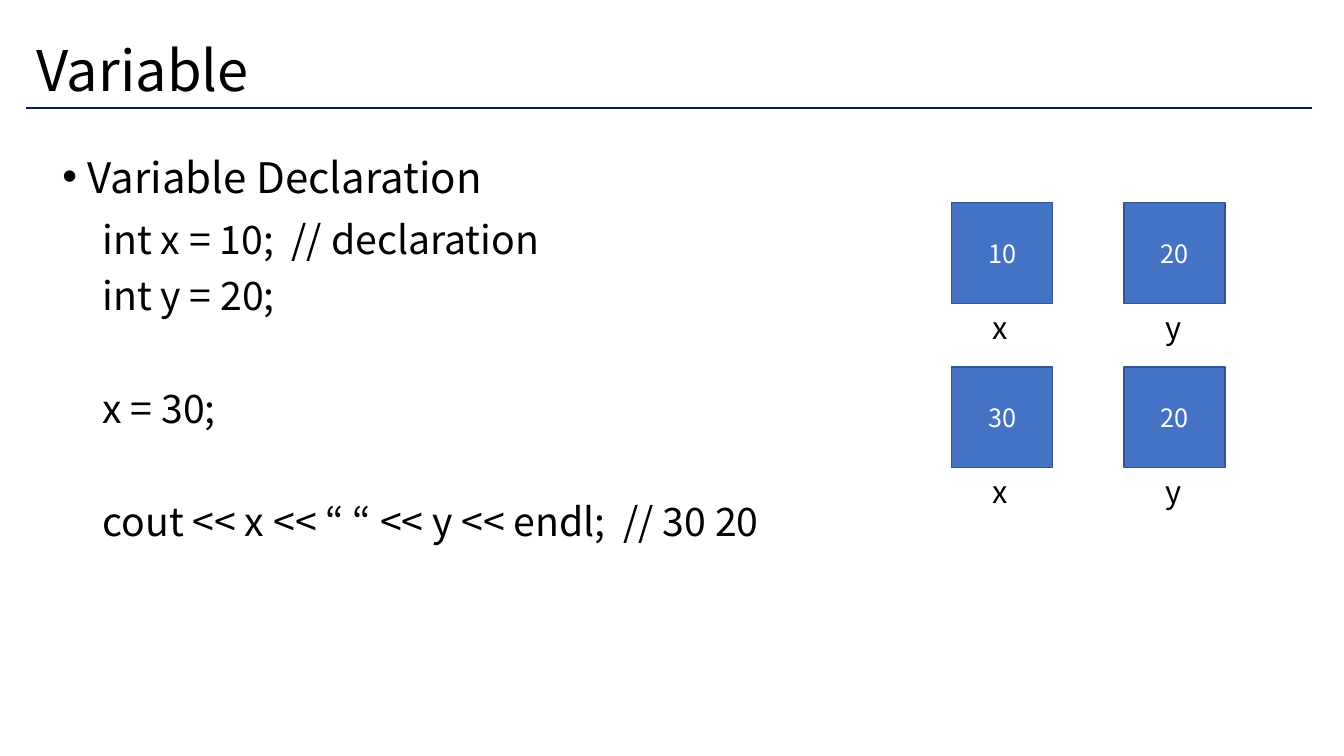
"""Build the slide on variable declaration, with its code and memory boxes."""
from dataclasses import dataclass

from lxml import etree
from pptx import Presentation
from pptx.dml.color import RGBColor
from pptx.enum.shapes import MSO_CONNECTOR, MSO_SHAPE
from pptx.enum.text import MSO_ANCHOR, PP_ALIGN
from pptx.oxml.ns import qn
from pptx.util import Inches, Pt

RECT = MSO_SHAPE.RECTANGLE
STRAIGHT = MSO_CONNECTOR.STRAIGHT
MIDDLE = MSO_ANCHOR.MIDDLE
CENTER = PP_ALIGN.CENTER
FONT = "Noto Sans CJK KR"
COLORS = {"text": "000000", "rule": "002060", "box": "4472C4",
          "border": "325491", "value": "FFFFFF"}
BOX_SIZE = 1
LINE_GAP = 10
BLANK_LINE_GAP = 50.3


@dataclass
class CodeLine:
    text: str
    before: float = LINE_GAP


@dataclass
class Variable:
    name: str
    value: str
    left: float
    top: float


CODE = [
    CodeLine("int x = 10;  // declaration"),
    CodeLine("int y = 20;"),
    CodeLine("x = 30;", BLANK_LINE_GAP),
    CodeLine("cout << x << “ “ << y << endl;  // 30 20", BLANK_LINE_GAP),
]
STATES = [(2.01, ("10", "20")), (3.64, ("30", "20"))]
COLUMNS = [("x", 9.44), ("y", 11.15)]
VARIABLES = [Variable(name, value, left, top)
             for top, values in STATES
             for (name, left), value in zip(COLUMNS, values)]


def color(name: str) -> RGBColor:
    return RGBColor.from_string(COLORS[name])


def style(p, size: float, name: str = "text") -> None:
    p.font.name = FONT
    p.font.size = Pt(size)
    p.font.color.rgb = color(name)


def add_text(slide, at: tuple, lines: list[str], size: float) -> object:
    tf = slide.shapes.add_textbox(*map(Inches, at)).text_frame
    tf.word_wrap = True
    tf.text = "\n".join(lines)
    for p in tf.paragraphs:
        style(p, size)
    return tf


def add_bullet(p, indent: float) -> None:
    pPr = p._p.get_or_add_pPr()
    pPr.set("marL", str(Inches(indent)))
    pPr.set("indent", str(-Inches(indent)))
    bullet_font = etree.Element(qn("a:buFont"), typeface="Arial")
    bullet = etree.Element(qn("a:buChar"), char="•")
    pPr.find(qn("a:defRPr")).addprevious(bullet_font)
    bullet_font.addnext(bullet)


def add_rule(slide, left: float, right: float, y: float) -> None:
    line = slide.shapes.add_connector(
        STRAIGHT, Inches(left), Inches(y), Inches(right), Inches(y))
    line.line.color.rgb = color("rule")
    line.line.width = Pt(1)
    etree.SubElement(line._element.spPr, qn("a:effectLst"))


def add_variable(slide, var: Variable) -> None:
    sp = slide.shapes.add_shape(
        RECT, *map(Inches, (var.left, var.top, BOX_SIZE, BOX_SIZE)))
    sp.shadow.inherit = False
    sp.fill.solid()
    sp.fill.fore_color.rgb = color("box")
    sp.line.color.rgb = color("border")
    sp.line.width = Pt(1)
    tf = sp.text_frame
    tf.text = var.value
    tf.vertical_anchor = MIDDLE
    p = tf.paragraphs[0]
    p.alignment = CENTER
    style(p, 18, "value")
    label_at = (var.left + 0.31, var.top + BOX_SIZE, 0.38, 0.47)
    add_text(slide, label_at, [var.name], 22)


def main() -> None:
    prs = Presentation()
    prs.slide_width, prs.slide_height = Inches(13.33), Inches(7.5)
    slide = prs.slides.add_slide(prs.slide_layouts[6])

    title = add_text(slide, (0.26, 0, 12.95, 1.45), ["Variable"], 40)
    title.vertical_anchor = MIDDLE
    title.paragraphs[0].line_spacing = 0.9
    add_rule(slide, 0.26, 13.01, 1.07)

    heading = add_text(slide, (0.52, 1.45, 5.43, 0.68),
                       ["Variable Declaration"], 30)
    heading.paragraphs[0].space_before = Pt(LINE_GAP)
    add_bullet(heading.paragraphs[0], 0.25)

    code = add_text(slide, (0.92, 2.14, 11.5, 4.76),
                    [line.text for line in CODE], 28)
    for p, line in zip(code.paragraphs, CODE):
        p.line_spacing = 0.9
        p.space_before = Pt(line.before)

    for var in VARIABLES:
        add_variable(slide, var)
    prs.save("out.pptx")


main()
